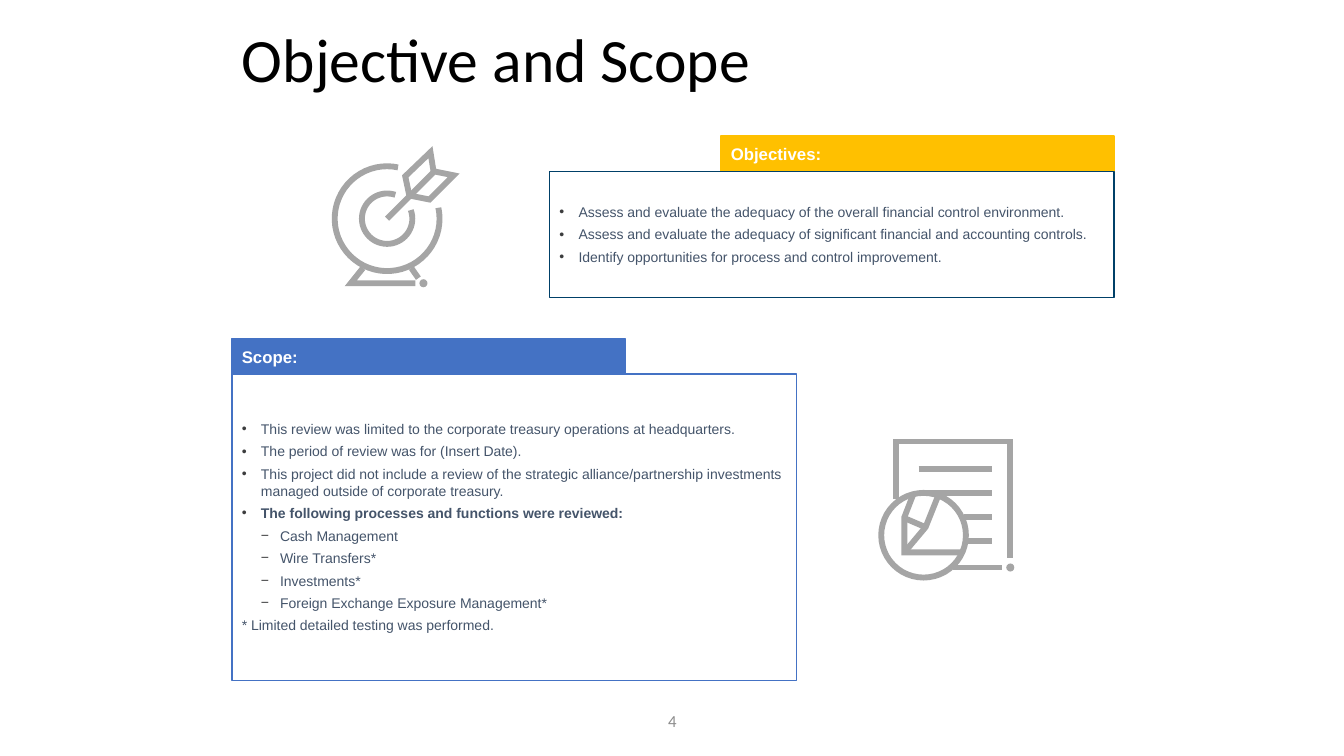
"""Build the Objective and Scope slide."""
import math
import pptx
import pptx.util
import pptx.dml.color
import pptx.enum.shapes
import pptx.enum.text
import pptx.oxml
import pptx.oxml.ns

Inches, Pt = pptx.util.Inches, pptx.util.Pt
LEFT = pptx.enum.text.PP_ALIGN.LEFT
MIDDLE = pptx.enum.text.MSO_ANCHOR.MIDDLE
RECTANGLE = pptx.enum.shapes.MSO_SHAPE.RECTANGLE
OVAL = pptx.enum.shapes.MSO_SHAPE.OVAL
NAMESPACE = pptx.oxml.ns.nsdecls("a")
GREY = "A5A5A5"


def color(value):
    return pptx.dml.color.RGBColor.from_string(value)


def arc(x, y, radius, start, end):
    angles = [math.radians(start + (end - start) * step / 48) for step in range(49)]
    return [(x + radius * math.cos(a), y + radius * math.sin(a)) for a in angles]


deck = pptx.Presentation()
deck.slide_width, deck.slide_height = Inches(13.33), Inches(7.5)
page = deck.slides.add_slide(deck.slide_layouts[5])

title = page.shapes.title
title.left, title.top, title.width, title.height = map(Inches, (2.3, 0, 8.75, 1.25))
number = page.shapes.add_textbox(*map(Inches, (4.42, 6.95, 4.5, 0.4)))
for box, text, size, ink, align in [
    (title, "Objective and Scope", 44, "000000", LEFT),
    (number, "4", 12, "8C8C8C", pptx.enum.text.PP_ALIGN.CENTER),
]:
    frame = box.text_frame
    frame.text = text
    frame.word_wrap = True
    frame.auto_size = pptx.enum.text.MSO_AUTO_SIZE.NONE
    frame.vertical_anchor = MIDDLE
    para = frame.paragraphs[0]
    para.alignment = align
    font = para.runs[0].font
    font.name, font.size, font.color.rgb = "Calibri", Pt(size), color(ink)
title.text_frame.paragraphs[0].line_spacing = 0.9

objectives = [
    ("•", "Assess and evaluate the adequacy of the overall financial control environment."),
    ("•", "Assess and evaluate the adequacy of significant financial and accounting controls."),
    ("•", "Identify opportunities for process and control improvement."),
]
reviewed = "The following processes and functions were reviewed:"
scope = [
    ("•", "This review was limited to the corporate treasury operations at headquarters."),
    ("•", "The period of review was for (Insert Date)."),
    ("•", "This project did not include a review of the strategic alliance/partnership "
          "investments managed outside of corporate treasury."),
    ("•", reviewed),
    ("−", "Cash Management"),
    ("−", "Wire Transfers*"),
    ("−", "Investments*"),
    ("−", "Foreign Exchange Exposure Management*"),
    ("", "* Limited detailed testing was performed."),
]
panels = [
    ("Objectives:", objectives, 7.15, 5.45, 1.35, 1.25, "FFC000", "004068"),
    ("Scope:", scope, 2.3, 2.3, 3.36, 3.04, "4472C4", "4472C4"),
]
for heading, items, tab_left, left, top, height, accent, border in panels:
    tab = page.shapes.add_shape(RECTANGLE, *map(Inches, (tab_left, top, 3.9, 0.35)))
    body = page.shapes.add_shape(RECTANGLE, *map(Inches, (left, top + 0.35, 5.6, height)))
    for box, fill, line, lines, size, ink in [
        (tab, accent, accent, [("", heading)], 12, "FFFFFF"),
        (body, "FFFFFF", border, items, 10, "44546A"),
    ]:
        box.shadow.inherit = False
        box.fill.solid()
        box.fill.fore_color.rgb = color(fill)
        box.line.color.rgb = color(line)
        box.line.width = Pt(1)
        frame = box.text_frame
        frame.word_wrap = True
        frame.vertical_anchor = MIDDLE
        frame.text = "\n".join(text for bullet, text in lines)
        for para, (bullet, text) in zip(frame.paragraphs, lines):
            para.alignment = LEFT
            font = para.runs[0].font
            font.name, font.size, font.color.rgb = "Arial", Pt(size), color(ink)
            font.bold = text in (heading, reviewed)
            if box is body:
                para.space_before = para.space_after = Pt(2)
            if bullet:
                para.level = 1 if bullet == "−" else 0
                settings = para._p.get_or_add_pPr()
                settings.set("marL", str(Inches(0.19 * (para.level + 1))))
                settings.set("indent", str(Inches(-0.19)))
                for xml in (
                    f'<a:buClr {NAMESPACE}><a:srgbClr val="3C3D3E"/></a:buClr>',
                    f'<a:buFont {NAMESPACE} typeface="Arial"/>',
                    f'<a:buChar {NAMESPACE} char="{bullet}"/>',
                ):
                    settings.append(pptx.oxml.parse_xml(xml))

feathers = [(4.27, 1.51), (4.3, 1.7), (4.5, 1.74), (4.26, 1.98), (4.06, 1.94), (4.02, 1.75)]
target = [
    arc(3.84, 2.17, 0.52, -12, 282),
    arc(3.84, 2.17, 0.25, -20, 289),
    [(3.84, 2.17), (4.3, 1.71)],
    feathers + feathers[:1],
    [(3.6, 2.66), (3.48, 2.81), (4.12, 2.81)],
    [(4.08, 2.66), (4.15, 2.76)],
]
text_lines = [(9.11, 4.65, 9.84), (9.19, 4.89, 9.84), (9.56, 5.13, 9.84),
              (9.59, 5.37, 9.84), (9.45, 5.63, 9.94)]
document = [
    [(8.89, 4.95), (8.89, 4.38), (10.02, 4.38), (10.02, 5.54)],
    arc(9.16, 5.31, 0.42, 0, 360),
    [(9.06, 4.9), (8.97, 5.13), (8.97, 5.48), (9.53, 5.48)],
    [(8.97, 5.48), (9.18, 5.23), (9.3, 4.93)],
    [(8.97, 5.14), (9.18, 5.23)],
] + [[(start, y), (end, y)] for start, y, end in text_lines]

for strokes, dot_x, dot_y in [(target, 4.2, 2.81), (document, 10.02, 5.63)]:
    strokes = [[(Inches(x), Inches(y)) for x, y in stroke] for stroke in strokes]
    builder = page.shapes.build_freeform(*strokes[0][0])
    for stroke in strokes:
        builder.move_to(*stroke[0])
        builder.add_line_segments(stroke[1:], close=stroke[0] == stroke[-1])
    icon = builder.convert_to_shape()
    icon.shadow.inherit = False
    icon.fill.background()
    icon.line.color.rgb = color(GREY)
    icon.line.width = Pt(4.2)
    icon.line._get_or_add_ln().append(
        pptx.oxml.parse_xml(f'<a:miter {NAMESPACE} lim="800000"/>'))
    dot = page.shapes.add_shape(OVAL, *map(Inches, (dot_x - 0.04, dot_y - 0.04, 0.08, 0.08)))
    dot.shadow.inherit = False
    dot.fill.solid()
    dot.fill.fore_color.rgb = color(GREY)
    dot.line.fill.background()

deck.save("out.pptx")
